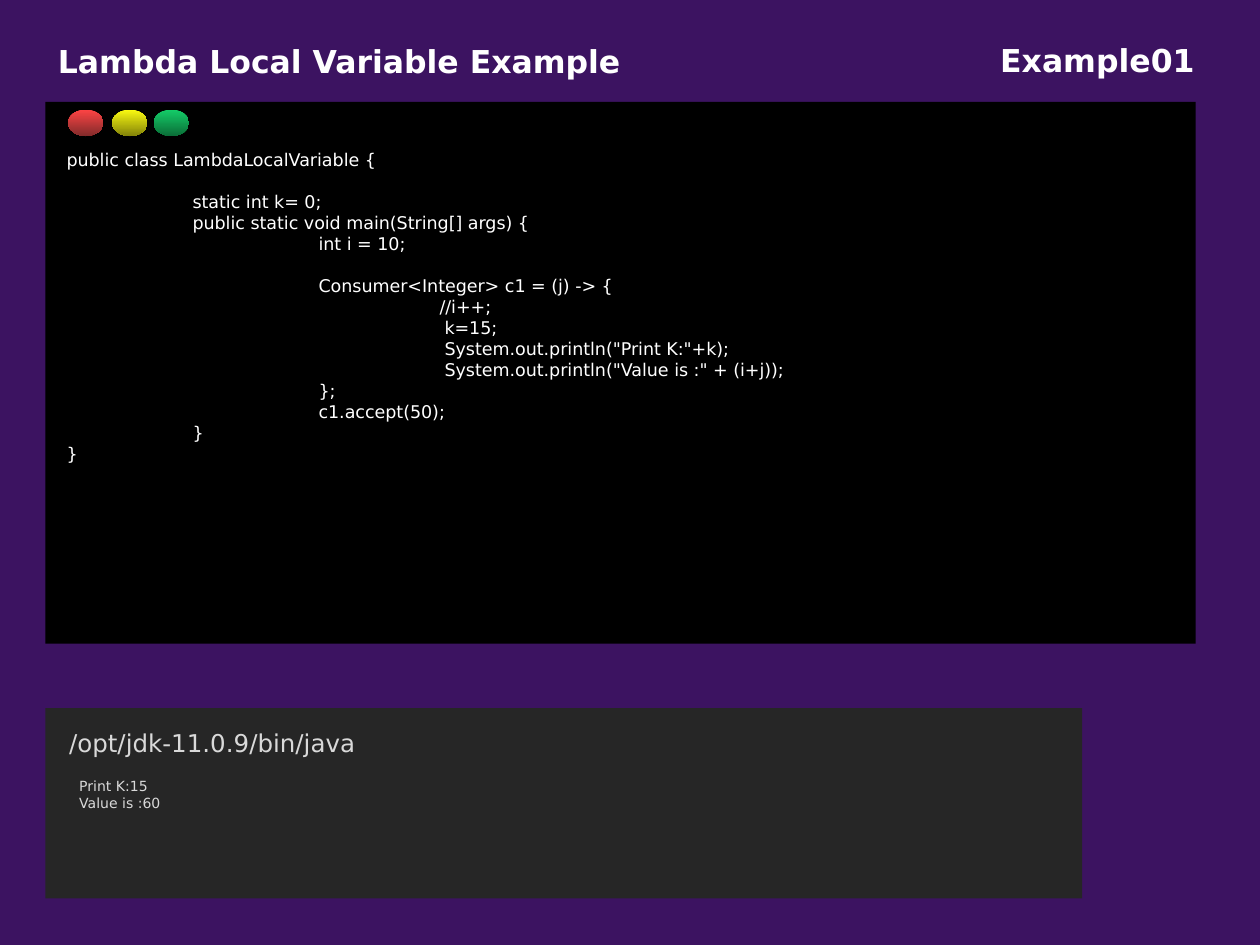
from pptx import Presentation
from pptx.dml.color import RGBColor
from pptx.enum.shapes import MSO_SHAPE
from pptx.enum.text import MSO_ANCHOR, MSO_AUTO_SIZE, PP_ALIGN
from pptx.util import Inches, Pt

RECT, OVAL = MSO_SHAPE.RECTANGLE, MSO_SHAPE.OVAL
TOP, NO_FIT = MSO_ANCHOR.TOP, MSO_AUTO_SIZE.NONE
LEFT, CENTER = PP_ALIGN.LEFT, PP_ALIGN.CENTER
FONT = "DejaVu Sans"
WHITE, GREY = "FFFFFF", "D9D9D9"


def rgb(value):
    return RGBColor.from_string(value)


def write(sp, lines, size, color, bold=False, align=LEFT, wrap=True):
    tf = sp.text_frame
    frame_format = {"word_wrap": wrap, "auto_size": NO_FIT, "vertical_anchor": TOP}
    for name, value in frame_format.items():
        setattr(tf, name, value)
    font_format = {"name": FONT, "size": Pt(size), "bold": bold}
    for i, (indent, gap, text) in enumerate(lines):
        p = tf.paragraphs[0] if i == 0 else tf.add_paragraph()
        p.alignment = align
        p.space_before = Pt(gap)
        pPr = p._p.get_or_add_pPr()
        pPr.set("marL", str(Inches(indent)))
        pPr.set("indent", "0")
        r = p.add_run()
        r.text = text
        for name, value in font_format.items():
            setattr(r.font, name, value)
        r.font.color.rgb = rgb(color)


prs = Presentation()
prs.slide_width, prs.slide_height = Inches(10), Inches(7.5)
s = prs.slides.add_slide(prs.slide_layouts[5])
s.background.fill.solid()
s.background.fill.fore_color.rgb = rgb("3C1361")

title = s.shapes.title
title_box = {"left": 0.36, "top": 0.28, "width": 5, "height": 0.4}
for name, value in title_box.items():
    setattr(title, name, Inches(value))
write(title, [(0, 0, "Lambda Local Variable Example")], 18, WHITE, bold=True)

window = s.shapes.add_group_shape()
console = s.shapes.add_group_shape()
panels = [
    (window, 0.81, 9.13, 4.3, "000000"),
    (console, 5.62, 8.23, 1.51, "262626"),
]
for group, top, width, height, color in panels:
    sp = group.shapes.add_shape(RECT, Inches(0.36), Inches(top), Inches(width), Inches(height))
    sp.shadow.inherit = False
    sp.fill.solid()
    sp.fill.fore_color.rgb = rgb(color)
    sp.line.fill.background()

buttons = [
    (0.54, "FE4444", "832B2B"),
    (0.89, "FBFB11", "838309"),
    (1.22, "14CD68", "0B6E38"),
]
for left, *colors in buttons:
    sp = window.shapes.add_shape(OVAL, Inches(left), Inches(0.87), Inches(0.28), Inches(0.21))
    sp.shadow.inherit = False
    sp.fill.gradient()
    sp.fill.gradient_angle = 270
    for stop, color in zip(sp.fill.gradient_stops, colors):
        stop.color.rgb = rgb(color)
    sp.line.fill.background()

code = [
    (0, 0, "public class LambdaLocalVariable {"),
    (1, 12, "static int k= 0;"),
    (1, 0, "public static void main(String[] args) {"),
    (2, 0, "int i = 10;"),
    (2, 12, "Consumer<Integer> c1 = (j) -> {"),
    (2.96, 0, "//i++;"),
    (3, 0, "k=15;"),
    (3, 0, 'System.out.println("Print K:"+k);'),
    (3, 0, 'System.out.println("Value is :" + (i+j));'),
    (2, 0, "};"),
    (2, 0, "c1.accept(50);"),
    (1, 0, "}"),
    (0, 0, "}"),
]
sp = s.shapes.add_textbox(Inches(0.43), Inches(1.13), Inches(8.52), Inches(2.62))
write(sp, code, 10, WHITE)

sp = s.shapes.add_textbox(Inches(7.84), Inches(0.28), Inches(1.74), Inches(0.4))
write(sp, [(0, 0, "Example01")], 18, WHITE, bold=True, align=CENTER, wrap=False)

sp = console.shapes.add_textbox(Inches(0.45), Inches(5.73), Inches(2.5), Inches(0.34))
write(sp, [(0, 0, "/opt/jdk-11.0.9/bin/java")], 14, GREY)

sp = s.shapes.add_textbox(Inches(0.53), Inches(6.12), Inches(7.78), Inches(0.37))
write(sp, [(0, 0, "Print K:15"), (0, 0, "Value is :60")], 8, GREY)

prs.save("out.pptx")
